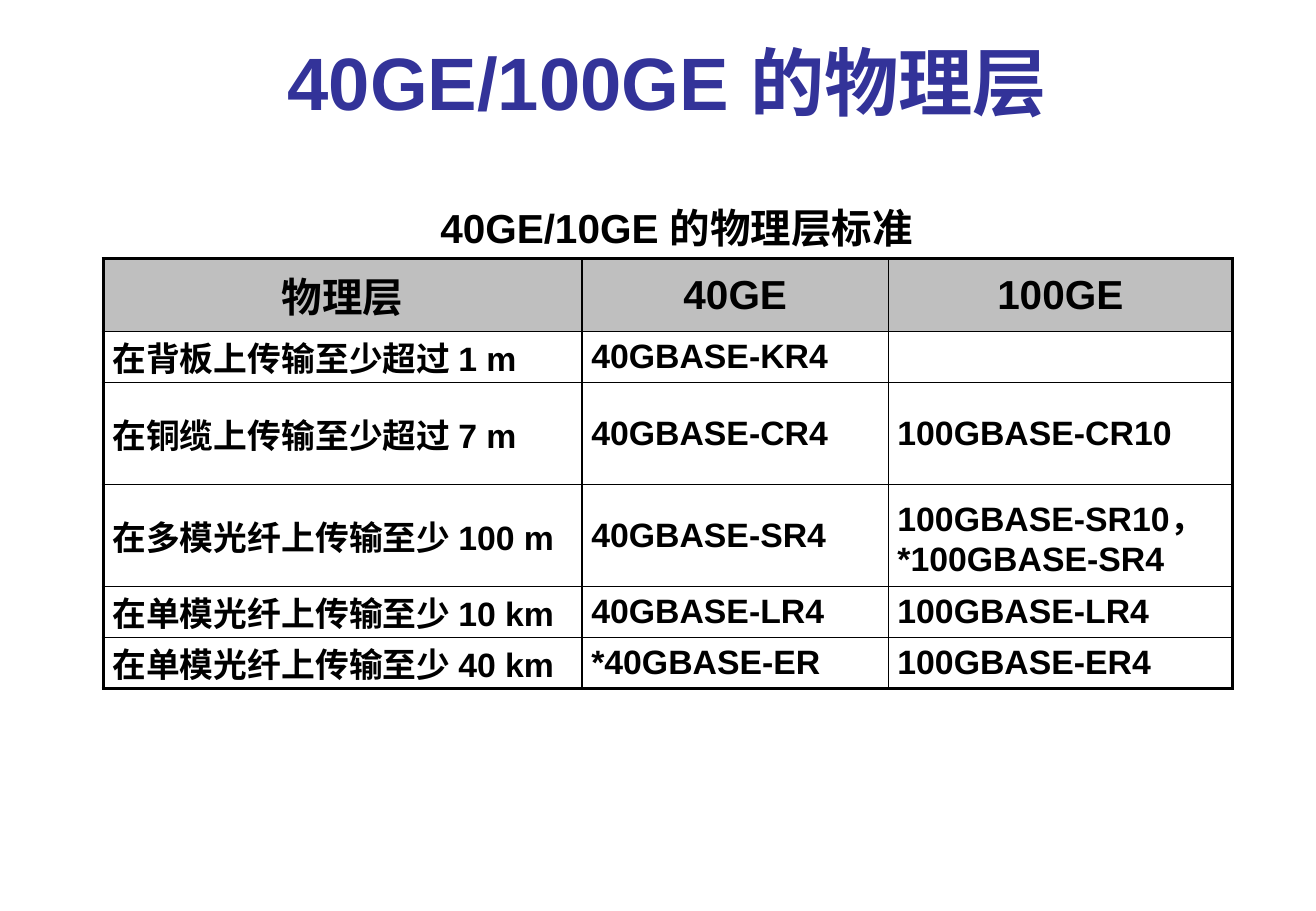
import pptx
import pptx.dml.color
import pptx.enum.text
import pptx.util
from lxml import etree
from pptx.util import Cm, Pt

TITLE = "40GE/100GE 的物理层"
CAPTION = "40GE/10GE 的物理层标准"
STANDARDS = [
    ("物理层", "40GE", "100GE"),
    ("在背板上传输至少超过 1 m", "40GBASE-KR4", ""),
    ("在铜缆上传输至少超过 7 m", "40GBASE-CR4", "100GBASE-CR10"),
    ("在多模光纤上传输至少 100 m", "40GBASE-SR4", "100GBASE-SR10，\n*100GBASE-SR4"),
    ("在单模光纤上传输至少 10 km", "40GBASE-LR4", "100GBASE-LR4"),
    ("在单模光纤上传输至少 40 km", "*40GBASE-ER", "100GBASE-ER4"),
]
COLUMN_WIDTHS = [Cm(10.01), Cm(6.4), Cm(7.19)]
ROW_HEIGHTS = [Cm(1.52), Cm(1.07), Cm(2.13), Cm(2.13), Cm(1.07), Cm(1.07)]

FONT = "Arial"
INDIGO = pptx.dml.color.RGBColor(0x33, 0x33, 0x99)
BLACK = pptx.dml.color.RGBColor(0, 0, 0)
GREY = pptx.dml.color.RGBColor(0xBF, 0xBF, 0xBF)
OUTER, INNER = Pt(2.25), Pt(1)

ALIGN = pptx.enum.text.PP_ALIGN
ANCHOR = pptx.enum.text.MSO_ANCHOR


def write(frame, text, size, color, align):
    frame.text = text
    for paragraph in frame.paragraphs:
        paragraph.alignment = align
        font = paragraph.font
        for run in paragraph.runs:
            font = run.font
            font.name, font.size, font.bold = FONT, Pt(size), True
            font.color.rgb = color


def add_heading(slide, text, box, size, color, anchor):
    frame = slide.shapes.add_textbox(*box).text_frame
    frame.word_wrap = True
    frame.vertical_anchor = anchor
    write(frame, text, size, color, ALIGN.CENTER)


def add_border(cell, side, width):
    namespace = "{http://schemas.openxmlformats.org/drawingml/2006/main}"
    properties = cell._tc.get_or_add_tcPr()
    line = etree.SubElement(properties, namespace + "ln" + side, w=str(width))
    fill = etree.SubElement(line, namespace + "solidFill")
    etree.SubElement(fill, namespace + "srgbClr", val=str(BLACK))


def add_standards_table(slide, left, top):
    row_count, column_count = len(STANDARDS), len(COLUMN_WIDTHS)
    table = slide.shapes.add_table(row_count, column_count, left, top,
                                   sum(COLUMN_WIDTHS), sum(ROW_HEIGHTS)).table
    table.first_row = table.horz_banding = False
    for column, width in zip(table.columns, COLUMN_WIDTHS):
        column.width = width
    for row, height in zip(table.rows, ROW_HEIGHTS):
        row.height = height

    for r, entries in enumerate(STANDARDS):
        for c, entry in enumerate(entries):
            cell = table.cell(r, c)
            header = r == 0
            cell.margin_left = cell.margin_right = Cm(0.19)
            cell.margin_top = cell.margin_bottom = 0
            cell.vertical_anchor = ANCHOR.MIDDLE
            write(cell.text_frame, entry, 24 if header else 20, BLACK,
                  ALIGN.CENTER if header else ALIGN.JUSTIFY)
            on_edge = {"L": c == 0, "R": c == column_count - 1,
                       "T": header, "B": r == row_count - 1}
            for side, outer in on_edge.items():
                add_border(cell, side, OUTER if outer else INNER)
            if header:
                cell.fill.solid()
                cell.fill.fore_color.rgb = GREY
            else:
                cell.fill.background()


def main():
    deck = pptx.Presentation()
    deck.slide_width, deck.slide_height = Cm(27.51), Cm(19.05)
    slide = deck.slides.add_slide(deck.slide_layouts[6])
    add_heading(slide, TITLE, (Cm(1.37), Cm(0.53), Cm(25.17), Cm(2.21)),
                44, INDIGO, ANCHOR.BOTTOM)
    add_standards_table(slide, Cm(2.16), Cm(5.41))
    add_heading(slide, CAPTION, (Cm(4.95), Cm(4.11), Cm(18.39), Cm(1.27)),
                24, BLACK, ANCHOR.MIDDLE)
    deck.save("out.pptx")


if __name__ == "__main__":
    main()
